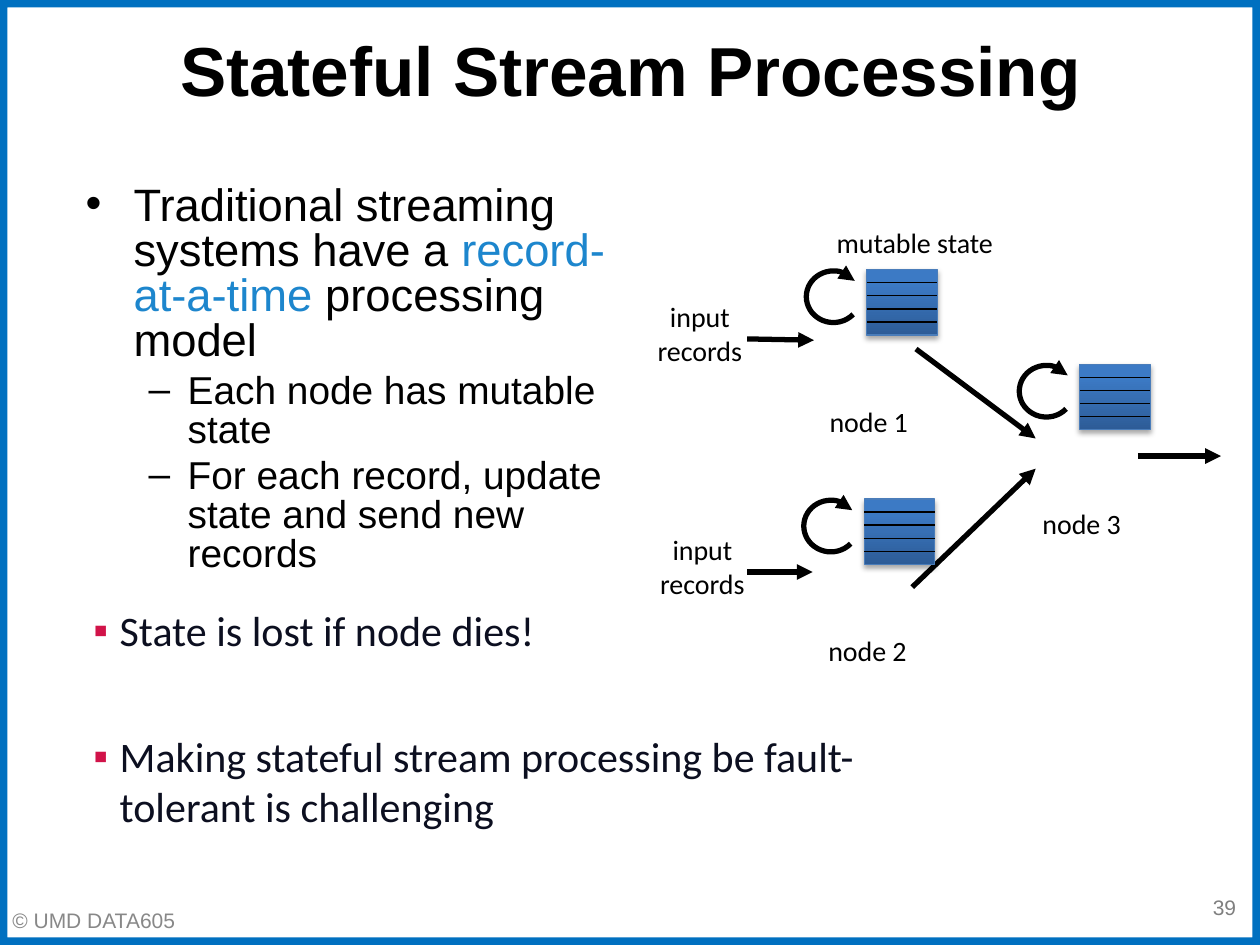
from lxml import etree
from pptx import Presentation
from pptx.dml.color import RGBColor
from pptx.enum.shapes import MSO_CONNECTOR, MSO_SHAPE
from pptx.enum.text import MSO_ANCHOR, MSO_AUTO_SIZE, PP_ALIGN
from pptx.oxml.ns import qn
from pptx.util import Inches, Pt

STRAIGHT = MSO_CONNECTOR.STRAIGHT
TOP, MIDDLE = MSO_ANCHOR.TOP, MSO_ANCHOR.MIDDLE
LEFT, CENTER, RIGHT = PP_ALIGN.LEFT, PP_ALIGN.CENTER, PP_ALIGN.RIGHT
BLACK = "000000"
STACK_WIDTH, STACK_HEIGHT, STACK_ROWS = 0.56, 0.52, 5


def rgb(value):
    return RGBColor.from_string(value)


def inches(values):
    return [Inches(value) for value in values]


def child(parent, tag, **attributes):
    return etree.SubElement(parent, qn(tag), attributes)


def set_frame(frame, insets, anchor=TOP):
    frame.word_wrap = True
    frame.auto_size = MSO_AUTO_SIZE.NONE
    frame.vertical_anchor = anchor
    (frame.margin_left, frame.margin_top,
     frame.margin_right, frame.margin_bottom) = inches(insets)


def set_font(font, name, size, color, bold=False):
    font.name, font.size, font.bold = name, Pt(size), bold
    font.color.rgb = rgb(color)


def set_bullet(para, mark, color, margin, indent):
    properties = para._p.get_or_add_pPr()
    properties.set("marL", str(Inches(margin)))
    properties.set("indent", str(Inches(indent)))
    child(child(properties, "a:buClr"), "a:srgbClr", val=color)
    child(properties, "a:buFont", typeface="Arial")
    child(properties, "a:buChar", char=mark)


def place(shape, box):
    shape.left, shape.top, shape.width, shape.height = inches(box)


def add_text(shapes, box, text, name, size, color, align, insets, anchor=TOP):
    label = shapes.add_textbox(*inches(box))
    set_frame(label.text_frame, insets, anchor)
    label.text_frame.text = text
    for para in label.text_frame.paragraphs:
        para.alignment = align
        for span in para.runs:
            set_font(span.font, name, size, color)
    return label


def set_line(line, color, width, arrow=False):
    line.color.rgb = rgb(color)
    line.width = Pt(width)
    if arrow:
        child(line._get_or_add_ln(), "a:tailEnd", type="triangle")


def add_line(shapes, start, end, width=0.75, arrow=False):
    line = shapes.add_connector(STRAIGHT, *inches(start + end))
    set_line(line.line, BLACK, width, arrow)
    child(line._element.spPr, "a:effectLst")


def add_stack(shapes, left, top):
    stack = shapes.add_shape(
        MSO_SHAPE.RECTANGLE, *inches((left, top, STACK_WIDTH, STACK_HEIGHT)))
    stack.fill.gradient()
    stack.fill.gradient_angle = 90
    stops = zip(stack.fill.gradient_stops, (0, 0.8), ("2D5C97", "3C7AC5"))
    for stop, position, color in stops:
        stop.position = position
        stop.color.rgb = rgb(color)
    set_line(stack.line, "4A7DBA", 0.75)
    stack.shadow.inherit = False
    effects = stack._element.spPr.find(qn("a:effectLst"))
    shadow = child(effects, "a:outerShdw", blurRad=str(Pt(3.1)),
                   dist=str(Pt(1.8)), dir="5400000", rotWithShape="0")
    child(child(shadow, "a:srgbClr", val=BLACK), "a:alpha", val="35000")
    for row in range(1, STACK_ROWS):
        y = top + row * STACK_HEIGHT / STACK_ROWS
        add_line(shapes, (left, y), (left + STACK_WIDTH, y))


def add_node(shapes, left, top, name, label_left, label_top):
    add_stack(shapes, left, top)
    loop = shapes.add_shape(
        MSO_SHAPE.ARC, *inches((left - 0.48, top + 0.01, 0.43, 0.41)))
    loop.adjustments[0], loop.adjustments[1] = 25.04, 194.06
    loop.fill.background()
    loop.shadow.inherit = False
    set_line(loop.line, BLACK, 3, arrow=True)
    return add_text(shapes, (label_left, label_top, 0.87, 0.39), name,
                    "Calibri", 16, BLACK, CENTER, (0, 0.07, 0, 0.07))


def add_diagram(page):
    shapes = page.shapes.add_group_shape().shapes
    add_line(shapes, (7.24, 4.66), (8.22, 3.72), 3, arrow=True)
    add_node(shapes, 6.88, 2.14, "node 1", 6.46, 3.14)
    add_node(shapes, 6.86, 3.96, "node 2", 6.45, 4.96)
    last = add_node(shapes, 8.57, 2.89, "node 3", 8.15, 3.95)
    set_line(last.line, "FFFFFF", 0.75)
    for start, end in (((5.93, 2.69), (6.46, 2.7)),
                       ((5.93, 4.54), (6.45, 4.54)),
                       ((7.27, 2.77), (8.22, 3.48)),
                       ((9.03, 3.62), (9.69, 3.62))):
        add_line(shapes, start, end, 3, arrow=True)
    add_text(shapes, (6.4, 1.67, 1.75, 0.48), "mutable state",
             "Calibri", 16, BLACK, LEFT, (0.24, 0.12, 0.24, 0.12))
    for left, top in ((5.21, 2.26), (5.23, 4.11)):
        add_text(shapes, (left, top, 0.93, 0.74), "input\nrecords",
                 "Calibri", 16, BLACK, CENTER, (0, 0.12, 0.24, 0.12))


def add_border(page, box):
    border = page.shapes.add_shape(MSO_SHAPE.FRAME, *inches(box))
    border.adjustments[0] = 0.008
    border.fill.solid()
    border.fill.fore_color.rgb = rgb("0070C0")
    border.line.fill.background()
    border.shadow.inherit = False


def fill_title(title, box):
    place(title, box)
    set_frame(title.text_frame, (0.1, 0.05, 0.1, 0.05), MIDDLE)
    title.text_frame.text = "Stateful Stream Processing"
    para = title.text_frame.paragraphs[0]
    para.alignment = CENTER
    set_font(para.runs[0].font, "Arial", 39.6, BLACK, bold=True)


def fill_body(body, box):
    place(body, box)
    frame = body.text_frame
    set_frame(frame, (0.1, 0.05, 0.1, 0.05))
    items = (
        (0, (("Traditional streaming systems have a ", BLACK),
             ("record-at-a-time", "1D86CD"), (" processing model", BLACK))),
        (1, (("Each node has mutable state", BLACK),)),
        (1, (("For each record, update state and send new records", BLACK),)),
    )
    styles = (("•", 0.38, -0.38, 25.9, 0), ("–", 0.81, -0.31, 22.2, 4.4))
    for index, (level, spans) in enumerate(items):
        para = frame.add_paragraph() if index else frame.paragraphs[0]
        mark, margin, indent, size, before = styles[level]
        para.level = level
        para.line_spacing = 0.83
        para.space_before = Pt(before)
        set_bullet(para, mark, BLACK, margin, indent)
        for text, color in spans:
            span = para.add_run()
            span.text = text
            set_font(span.font, "Arial", size, color)


def add_conclusions(page, box):
    text = ("State is lost if node dies!\n"
            "Making stateful stream processing be fault-tolerant is challenging")
    notes = add_text(page.shapes, box, text, "Calibri", 24, "0C0F20",
                     LEFT, (0, 0, 0, 0))
    for para, before in zip(notes.text_frame.paragraphs, (0, 43)):
        para.space_before = Pt(before)
        set_bullet(para, "▪", "D11349", 0.36, -0.21)


def add_footer(page):
    for box, text, color, align in (
            ((0, 7.1, 1.6, 0.4), "© UMD DATA605", "888888", LEFT),
            ((7.58, 7, 2.33, 0.4), "39", "7F7F7F", RIGHT)):
        add_text(page.shapes, box, text, "Arial", 12, color, align,
                 (0.1, 0.05, 0.1, 0.05), MIDDLE)


def main():
    deck = Presentation()
    deck.slide_width, deck.slide_height = Inches(10), Inches(7.5)
    page = deck.slides.add_slide(deck.slide_layouts[1])
    add_border(page, (0, 0, 10, 7.5))
    fill_title(page.shapes.title, (0.17, 0.17, 9.67, 0.75))
    fill_body(page.placeholders[1], (0.58, 1.42, 4.67, 3.25))
    add_diagram(page)
    add_conclusions(page, (0.59, 4.8, 6.21, 2.08))
    add_footer(page)
    deck.save("out.pptx")


if __name__ == "__main__":
    main()
